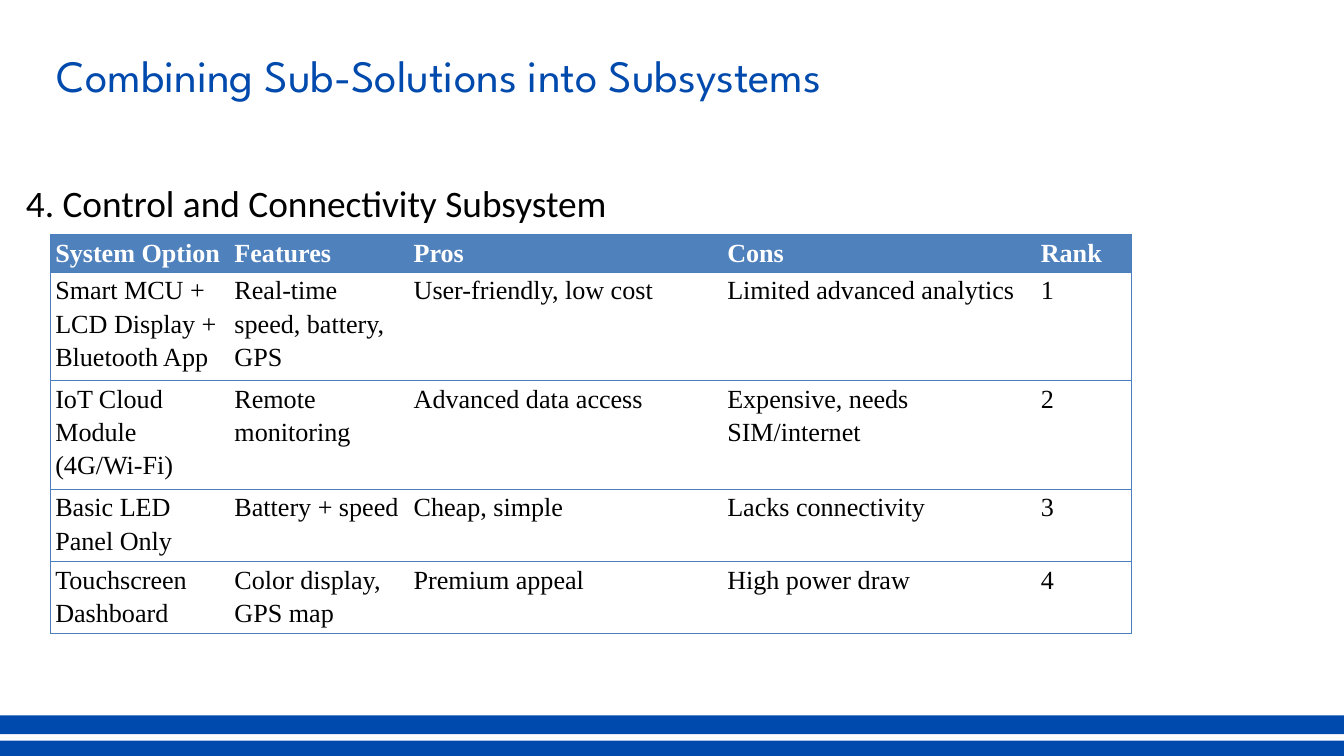
"""Build the slide on combining sub-solutions into the control and connectivity subsystem."""
from lxml.etree import SubElement
from pptx import Presentation
from pptx.dml.color import RGBColor
from pptx.enum.shapes import MSO_SHAPE
from pptx.oxml.ns import qn
from pptx.util import Pt

PX = 9525
COLORS = {"brand": "004AAD", "header": "4F81BD", "border": "4B7EBC",
          "ink": "000000", "paper": "FFFFFF"}
TITLE = {"size": Pt(48), "name": "League Spartan", "bold": False}
SUBTITLE = {"size": Pt(40), "name": "Calibri", "bold": False}
HEADER = {"size": Pt(28), "name": "Times New Roman", "bold": True}
BODY = {**HEADER, "bold": False}
CELL_MARGINS = {"margin_left": 7 * PX, "margin_right": 7 * PX,
                "margin_top": 0, "margin_bottom": 0}
NO_MARGINS = dict.fromkeys(CELL_MARGINS, 0)


def write(frame, text, style, color, spacing):
    paragraph = frame.paragraphs[0]
    for key, value in spacing.items():
        setattr(paragraph, key, value)
    run = paragraph.add_run()
    run.text = text
    for key, value in style.items():
        setattr(run.font, key, value)
    run.font.color.rgb = RGBColor.from_string(COLORS[color])


def draw_border(cell, side, visible):
    line = SubElement(cell._tc.get_or_add_tcPr(), qn(f"a:ln{side}"), w=str(Pt(0.75)))
    if visible:
        fill = SubElement(line, qn("a:solidFill"))
        SubElement(fill, qn("a:srgbClr"), val=COLORS["border"])
    else:
        SubElement(line, qn("a:noFill"))


deck = Presentation()
deck.slide_width, deck.slide_height = 1920 * PX, 1080 * PX
slide = deck.slides.add_slide(deck.slide_layouts[6])

headings = [
    ("4. Control and Connectivity Subsystem", (37, 225, 1015, 86),
     SUBTITLE, "ink", {"line_spacing": Pt(72.1)}, NO_MARGINS),
    ("Combining Sub-Solutions into Subsystems", (72, 64, 1352, 236),
     TITLE, "brand", {}, {}),
]
for text, place, style, color, spacing, margins in headings:
    frame = slide.shapes.add_textbox(*(n * PX for n in place)).text_frame
    for key, value in {"word_wrap": True, **margins}.items():
        setattr(frame, key, value)
    write(frame, text, style, color, spacing)

options = [
    ("System Option", "Features", "Pros", "Cons", "Rank"),
    ("Smart MCU + LCD Display + Bluetooth App", "Real-time speed, battery, GPS",
     "User-friendly, low cost", "Limited advanced analytics", "1"),
    ("IoT Cloud Module (4G/Wi-Fi)", "Remote monitoring",
     "Advanced data access", "Expensive, needs SIM/internet", "2"),
    ("Basic LED Panel Only", "Battery + speed", "Cheap, simple", "Lacks connectivity", "3"),
    ("Touchscreen Dashboard", "Color display, GPS map",
     "Premium appeal", "High power draw", "4"),
]
column_widths = [256, 256, 448, 448, 136]
row_heights = [54, 155, 155, 103, 103]
comparison = slide.shapes.add_table(
    len(options), len(column_widths), 72 * PX, 335 * PX,
    sum(column_widths) * PX, sum(row_heights) * PX).table
comparison.horz_banding = False
for column, width in zip(comparison.columns, column_widths):
    column.width = width * PX
for row, height in zip(comparison.rows, row_heights):
    row.height = height * PX

for r, option in enumerate(options):
    is_header = r == 0
    for c, text in enumerate(option):
        cell = comparison.cell(r, c)
        for key, value in CELL_MARGINS.items():
            setattr(cell, key, value)
        edges = {"L": c == 0, "R": c == len(option) - 1, "T": True, "B": True}
        for side, visible in edges.items():
            draw_border(cell, side, visible)
        cell.fill.solid()
        cell.fill.fore_color.rgb = RGBColor.from_string(
            COLORS["header" if is_header else "paper"])
        write(cell.text_frame, text, HEADER if is_header else BODY,
              "paper" if is_header else "ink",
              {"line_spacing": 1.15, "space_after": Pt(10)})

for top in (1058, 1022):
    stripe = slide.shapes.add_shape(
        MSO_SHAPE.RECTANGLE, -12 * PX, top * PX, 1944 * PX, 27 * PX)
    stripe.shadow.inherit = False
    stripe.fill.solid()
    stripe.fill.fore_color.rgb = RGBColor.from_string(COLORS["brand"])
    stripe.line.fill.background()

deck.save("out.pptx")
